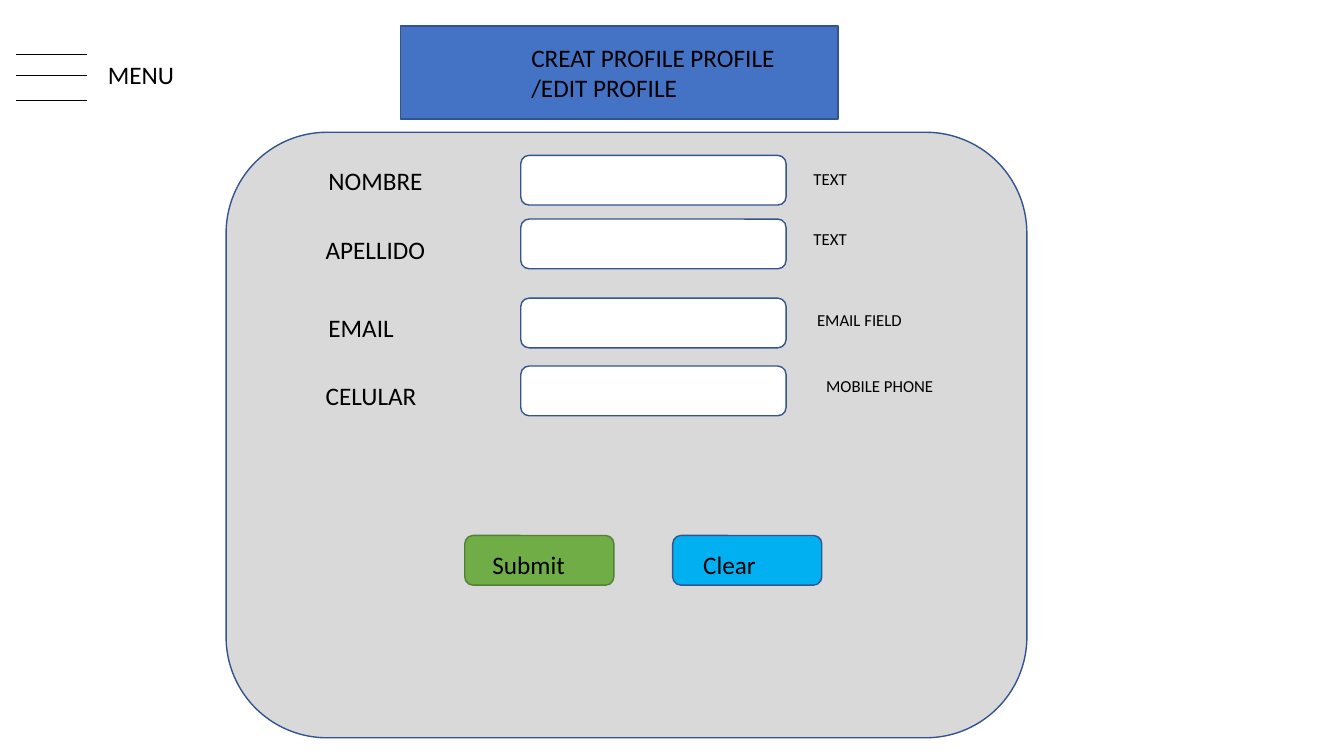
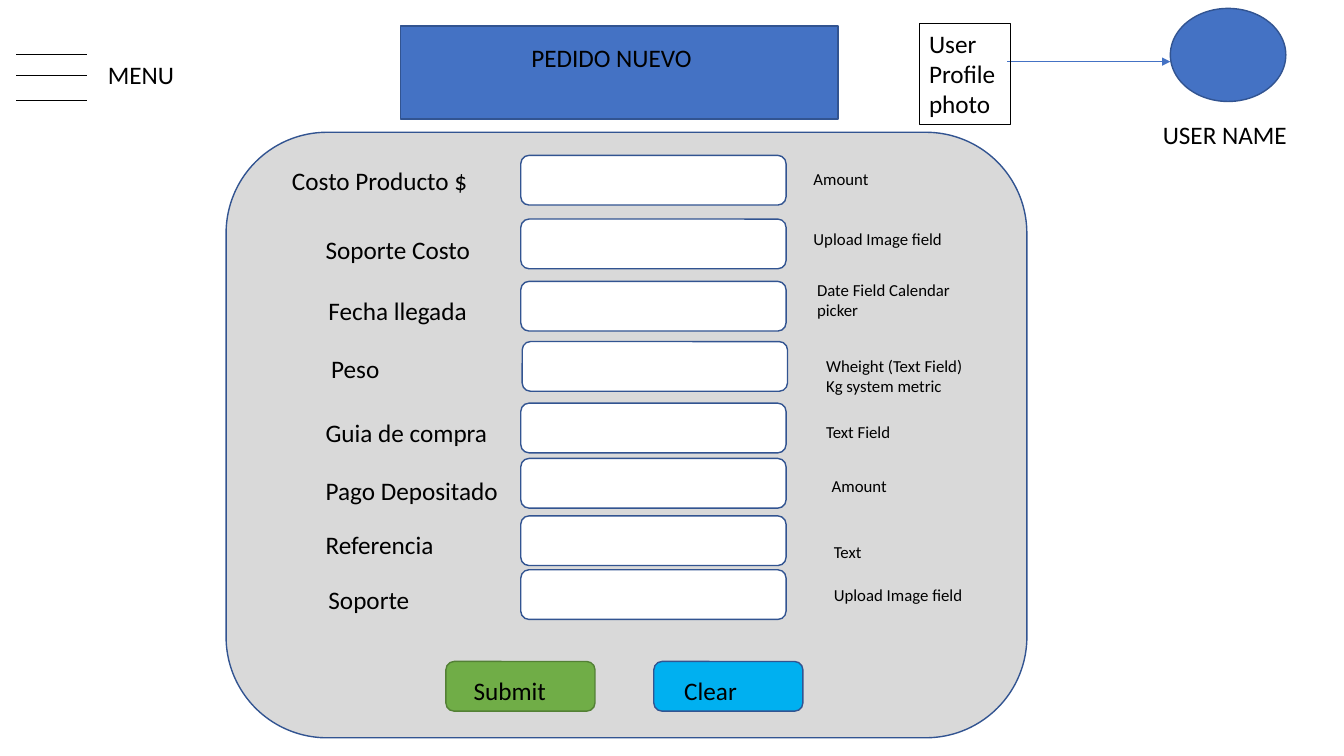
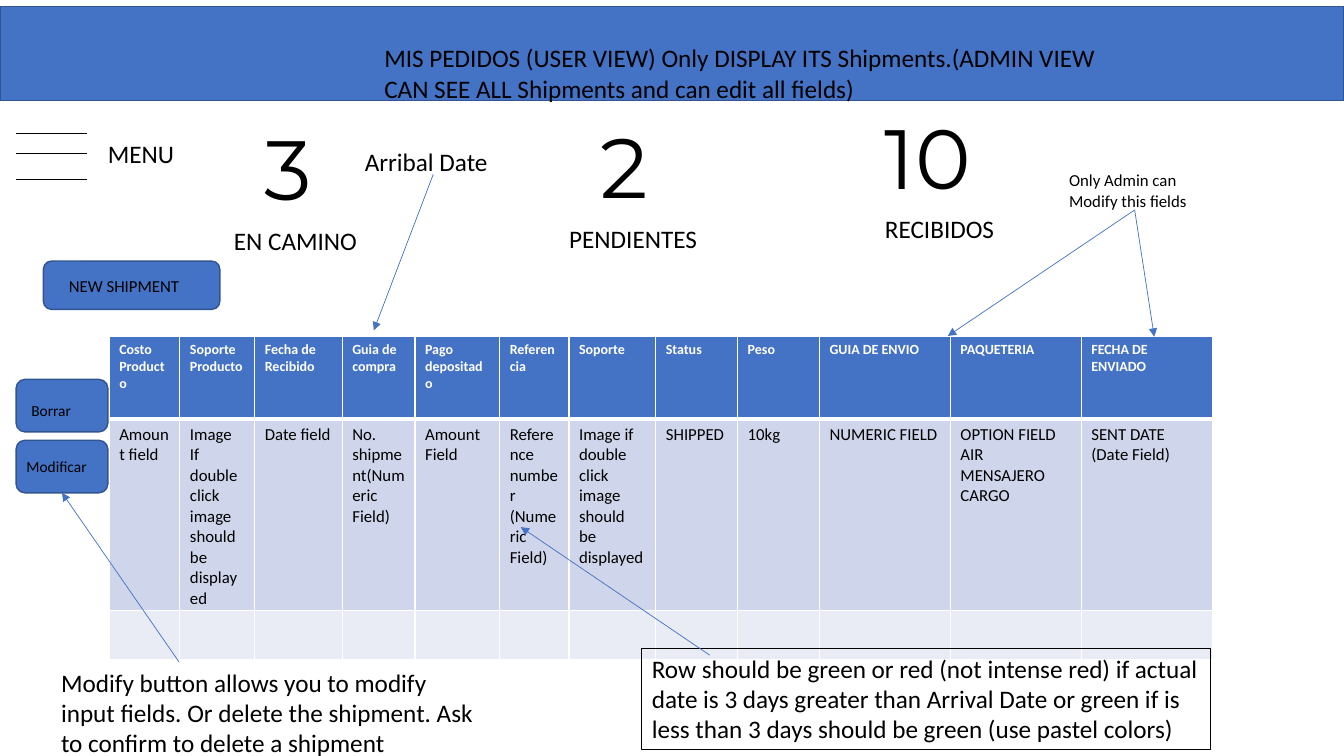
from dataclasses import dataclass

from lxml.etree import SubElement
from pptx import Presentation
from pptx.dml.color import RGBColor
from pptx.enum.shapes import MSO_CONNECTOR, MSO_SHAPE
from pptx.enum.text import MSO_ANCHOR, MSO_AUTO_SIZE, PP_ALIGN
from pptx.oxml.ns import qn
from pptx.util import Pt


@dataclass(frozen=True)
class Theme:
    """Colours, fonts and type sizes of the deck."""
    black: str = "000000"
    white: str = "FFFFFF"
    blue: str = "4472C4"
    edge: str = "325491"
    panel: str = "D9D9D9"
    green: str = "70AD47"
    green_edge: str = "538035"
    cyan: str = "00B0F0"
    row_dark: str = "CFD5EA"
    row_light: str = "E9EBF5"
    font: str = "Calibri"
    number_font: str = "Montserrat"
    body: int = 18
    small: int = 12
    tiny: int = 11
    head: int = 10
    number: int = 60
    hairline: float = 0.5
    frame: float = 0.75
    outline: float = 1


@dataclass(frozen=True)
class Field:
    """One form row, measured from the panel; label and hint drop from the input's top."""
    y: float
    label: str
    label_x: float
    label_drop: float
    hint: str
    hint_x: float
    hint_drop: float
    shift: float = 0


T = Theme()

FORM = (161.5, 94.5, 572, 432.5)
FORM_TITLE = (286, 18.5, 312.5, 66.5)
FORM_INSETS = (93.5, 11.5, 17.5)

PROFILE_FIELDS = [
    Field(16.5, "NOMBRE", 66, 3.5, "TEXT", 412.5, 6),
    Field(62, "APELLIDO", 64, 7, "TEXT", 412.5, 3.5),
    Field(118.5, "EMAIL", 66, 6.5, "EMAIL FIELD", 415, 5),
    Field(167, "CELULAR", 64, 6.5, "MOBILE PHONE", 421.5, 3),
]

ORDER_FIELDS = [
    Field(16.5, "Costo Producto $", 40, 3.5, "Amount", 412.5, 6),
    Field(62, "Soporte Costo", 64, 7, "Upload Image field", 412.5, 3.5),
    Field(106.5, "Fecha llegada", 66, 6.5, "Date Field Calendar picker", 415, -4.5),
    Field(149.5, "Peso", 68, 4.5, "Wheight (Text Field)\nKg system metric", 421.5, 6.5, 1),
    Field(193.5, "Guia de compra", 64, 6.5, "Text Field", 421.5, 10),
    Field(233, "Pago Depositado", 64, 8.5, "Amount", 425.5, 8.5),
    Field(274, "Referencia", 64, 6, "Text", 427, 15),
    Field(312.5, "Soporte", 66, 6.5, "Upload Image field", 427, 7),
]

SHIPMENTS = [
    (50.5, "Costo Producto", "Amount field"),
    (53.5, "Soporte Producto", "Image If double click image should be displayed"),
    (62.5, "Fecha de Recibido", "Date field"),
    (52, "Guia de compra", "No. shipment(Numeric Field)"),
    (60.5, "Pago depositado", "Amount Field"),
    (49.5, "Referencia", "Reference number (Numeric Field)"),
    (62, "Soporte", "Image if double click image should be displayed"),
    (58.5, "Status", "SHIPPED"),
    (58.5, "Peso", "10kg"),
    (93.5, "GUIA DE ENVIO", "NUMERIC FIELD"),
    (93.5, "PAQUETERIA", "OPTION FIELD\nAIR\nMENSAJERO\nCARGO"),
    (93.5, "FECHA DE ENVIADO", "SENT DATE (Date Field)"),
]


def rgb(color):
    """Return the colour object of a hex string."""
    return RGBColor.from_string(color)


def pts(*values):
    """Turn numbers into lengths in points."""
    return [Pt(v) for v in values]


def write(tf, text, size=T.body, color=T.black, bold=False, font=T.font):
    """Write text into a frame, one paragraph per line."""
    tf.word_wrap = True
    for i, line in enumerate(text.split("\n")):
        p = tf.add_paragraph() if i else tf.paragraphs[0]
        p.alignment = PP_ALIGN.LEFT
        r = p.add_run()
        r.text = line
        r.font.size = Pt(size)
        r.font.name = font
        r.font.bold = bold
        r.font.color.rgb = rgb(color)


def inset(tf, left, top, right=0):
    """Anchor a frame at the top with the given insets."""
    tf.vertical_anchor = MSO_ANCHOR.TOP
    tf.margin_left, tf.margin_top, tf.margin_right, tf.margin_bottom = pts(left, top, right, 0)


def paint(sp, fill, line):
    """Give a shape its fill and outline."""
    sp.fill.solid()
    sp.fill.fore_color.rgb = rgb(fill)
    sp.line.color.rgb = rgb(line)
    sp.line.width = Pt(T.outline)


def add_block(s, kind, box, fill=T.blue, line=T.edge):
    """Add a filled preset shape."""
    sp = s.shapes.add_shape(kind, *pts(*box))
    sp.shadow.inherit = False
    paint(sp, fill, line)
    return sp


def add_label(s, box, text, size=T.body, font=T.font, framed=False):
    """Add a text box, with a thin black frame if asked."""
    sp = s.shapes.add_textbox(*pts(*box))
    write(sp.text_frame, text, size, font=font)
    if framed:
        sp.line.color.rgb = rgb(T.black)
        sp.line.width = Pt(T.frame)
    return sp


def add_button(s, box, text, left, top, size=T.body, fill=T.blue, line=T.edge):
    """Add a rounded button with its caption inset."""
    sp = add_block(s, MSO_SHAPE.ROUNDED_RECTANGLE, box, fill, line)
    inset(sp.text_frame, left, top)
    write(sp.text_frame, text, size)
    return sp


def add_line(s, start, end, color=T.blue, arrow=True):
    """Add a thin straight line, with an arrowhead at its end if asked."""
    c = s.shapes.add_connector(MSO_CONNECTOR.STRAIGHT, *pts(*start, *end))
    c.line.color.rgb = rgb(color)
    c.line.width = Pt(T.hairline)
    if arrow:
        SubElement(c.line._get_or_add_ln(), qn("a:tailEnd"), type="triangle")
    SubElement(c._element.spPr, qn("a:effectLst"))
    return c


def add_title(s, box, insets, text):
    """Turn the title placeholder into the blue title band."""
    sp = s.shapes.title
    sp.left, sp.top, sp.width, sp.height = pts(*box)
    paint(sp, T.blue, T.edge)
    tf = sp.text_frame
    tf.auto_size = MSO_AUTO_SIZE.NONE
    inset(tf, *insets)
    write(tf, text)


def add_menu(s, x, y):
    """Place the menu icon and its caption."""
    for dy in (0, 14.5, 33):
        add_line(s, (x, y + dy), (x + 50.5, y + dy), T.black, arrow=False)
    add_label(s, (x + 58.5, y, 65.5, 29), "MENU")


def add_form(s, box, fields, submit_x, submit_y):
    """Place the grey panel with its inputs and two buttons."""
    x, y = box[:2]
    add_block(s, MSO_SHAPE.ROUNDED_RECTANGLE, box, T.panel)
    for f in fields:
        top = y + f.y
        add_block(s, MSO_SHAPE.ROUNDED_RECTANGLE, (x + 210.5 + f.shift, top, 189.5, 35.5), T.white)
        add_label(s, (x + f.label_x, top + f.label_drop, 146, 29), f.label)
        add_label(s, (x + f.hint_x, top + f.hint_drop, 121, 21.5), f.hint, T.small)
    left, top = x + submit_x, y + submit_y
    add_button(s, (left, top, 106.5, 35.5), "Submit", 18, 8.5, fill=T.green, line=T.green_edge)
    add_button(s, (left + 148.5, top, 106.5, 35.5), "Clear", 20, 8, fill=T.cyan)


def add_user(s, x, y):
    """Place the user picture spot, its note and the user name."""
    add_block(s, MSO_SHAPE.OVAL, (x + 179.5, y, 82.5, 66.5))
    add_label(s, (x + 167, y + 76, 136, 29), "USER NAME")
    add_line(s, (x + 63, y + 38), (x + 179.5, y + 38))
    add_label(s, (x, y + 10.5, 65.5, 72.5), "User Profile photo", framed=True)


def add_counter(s, x, y, number, caption, caption_dx):
    """Place a large number over its caption."""
    add_label(s, (x + caption_dx, y + 77.5, 117, 29), caption)
    add_label(s, (x, y, 95, 80), number, T.number, T.number_font)


def style_cell(cell, fill, top, bottom):
    """Give a table cell white borders and a fill."""
    tc_pr = cell._tc.get_or_add_tcPr()
    for side, width in (("L", 1), ("R", 1), ("T", top), ("B", bottom)):
        ln = SubElement(tc_pr, qn(f"a:ln{side}"), w=str(Pt(width)))
        SubElement(SubElement(ln, qn("a:solidFill")), qn("a:srgbClr"), val=T.white)
    cell.fill.solid()
    cell.fill.fore_color.rgb = rgb(fill)


def add_shipments(s, x, y):
    """Place the shipments table."""
    heights = (59, 136.5, 34.5)
    width = sum(col[0] for col in SHIPMENTS)
    table = s.shapes.add_table(3, len(SHIPMENTS), *pts(x, y, width, sum(heights))).table
    for row, height in zip(table.rows, heights):
        row.height = Pt(height)
    for i, (col_width, head, value) in enumerate(SHIPMENTS):
        table.columns[i].width = Pt(col_width)
        style_cell(table.cell(0, i), T.blue, 1, 3)
        style_cell(table.cell(1, i), T.row_dark, 3, 1)
        style_cell(table.cell(2, i), T.row_light, 1, 1)
        write(table.cell(0, i).text_frame, head, T.head, T.white, bold=True)
        write(table.cell(1, i).text_frame, value, T.small)


def add_actions(s, x, y):
    """Place the row buttons and the note that explains them."""
    add_button(s, (x, y, 65.5, 37.5), "Borrar", 9, 14, T.tiny)
    modify = add_button(s, (x, y + 43.5, 65.5, 37.5), "Modificar", 5.5, 10.5, T.tiny)
    add_label(s, (x + 25, y + 202, 314.5, 72.5),
              "Modify button allows you to modify input fields. Or delete the shipment. "
              "Ask to confirm to delete a shipment")
    arrow = add_line(s, (x + 116.5, y + 202), (x + 33, y + 81))
    arrow.end_connect(modify, 2)


def add_notes(s, x, y):
    """Place the notes that point at the table whose corner is given."""
    add_label(s, (x + 678.5, y - 122.5, 118, 36), "Only Admin can Modify this fields", T.small)
    add_label(s, (x + 175.5, y - 139.5, 112.5, 29), "Arribal Date")
    add_label(s, (x + 380.5, y + 222.5, 406, 72.5),
              "Row should be green or red (not intense red) if actual date is 3 days greater "
              "than Arrival Date or green if is less than 3 days should be green "
              "(use pastel colors)", framed=True)
    for x1, y1, x2, y2 in ((732.5, -90.5, 599, -0.5), (732.5, -90.5, 746.5, 0),
                           (429, 227.5, 294, 136), (231.5, -116, 189, -4.5)):
        add_line(s, (x + x1, y + y1), (x + x2, y + y2))


def form_slide(prs, title, fields, submit_x, submit_y):
    """Add a slide with a title band, the menu and a form."""
    s = prs.slides.add_slide(prs.slide_layouts[5])
    add_title(s, FORM_TITLE, FORM_INSETS, title)
    add_menu(s, 11.5, 39)
    add_form(s, FORM, fields, submit_x, submit_y)
    return s


def shipments_slide(prs):
    """Add the slide that lists the shipments."""
    s = prs.slides.add_slide(prs.slide_layouts[5])
    add_title(s, (0, 4.5, 960, 67.5), (274.5, 26, 156),
              "MIS PEDIDOS (USER VIEW) Only DISPLAY ITS Shipments."
              "(ADMIN VIEW CAN SEE ALL Shipments and can edit all fields)")
    add_menu(s, 11.5, 95)
    add_counter(s, 182, 80, "3", "EN CAMINO", -22)
    add_counter(s, 421.5, 78.5, "2", "PENDIENTES", -22)
    add_counter(s, 625, 71.5, "10", "RECIBIDOS", 0)
    add_button(s, (31, 186.5, 126, 34.5), "NEW SHIPMENT", 16.5, 8.5, T.small)
    add_shipments(s, 78, 240.5)
    add_actions(s, 11.5, 271)
    add_notes(s, 78, 240.5)


def main():
    """Build and save the deck."""
    prs = Presentation()
    prs.slide_width, prs.slide_height = pts(960, 540)
    form_slide(prs, "CREAT PROFILE PROFILE /EDIT PROFILE", PROFILE_FIELDS, 170.5, 288)
    s = form_slide(prs, "PEDIDO NUEVO", ORDER_FIELDS, 157, 378)
    add_user(s, 656.5, 6)
    shipments_slide(prs)
    prs.save("out.pptx")


if __name__ == "__main__":
    main()
